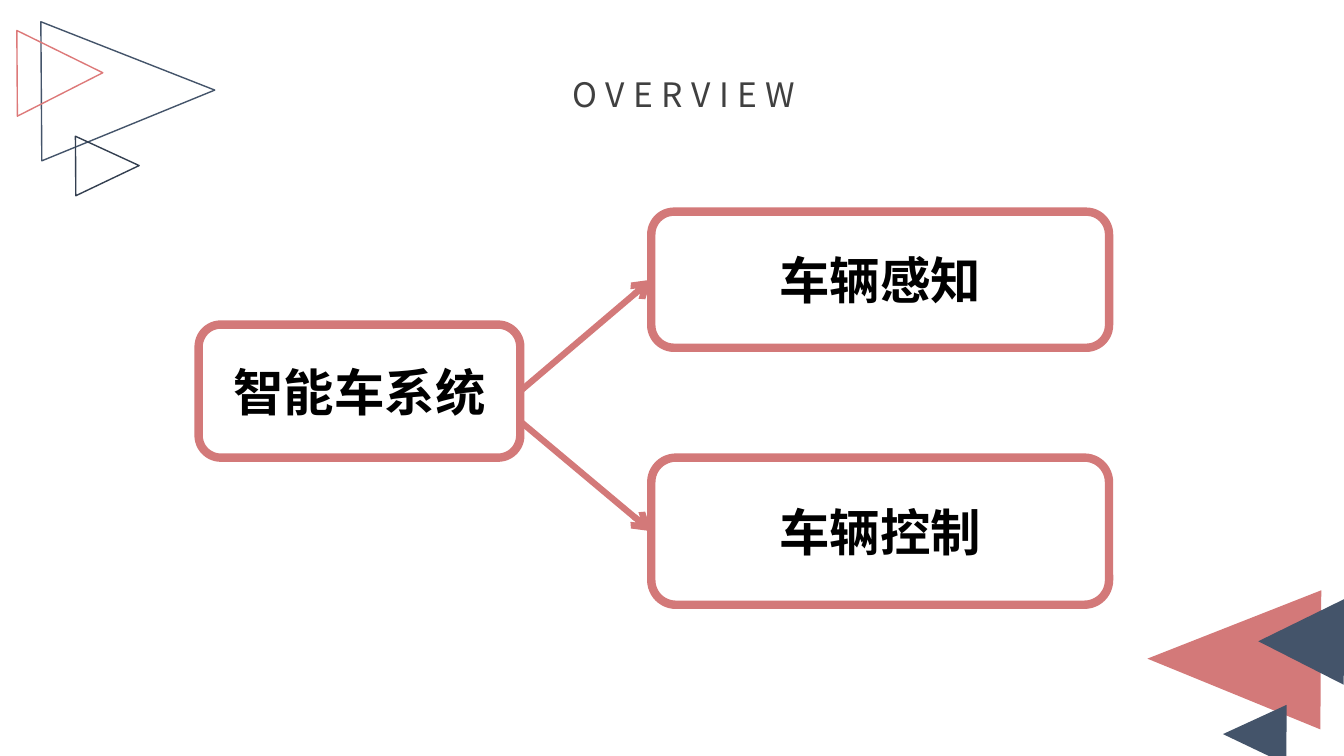
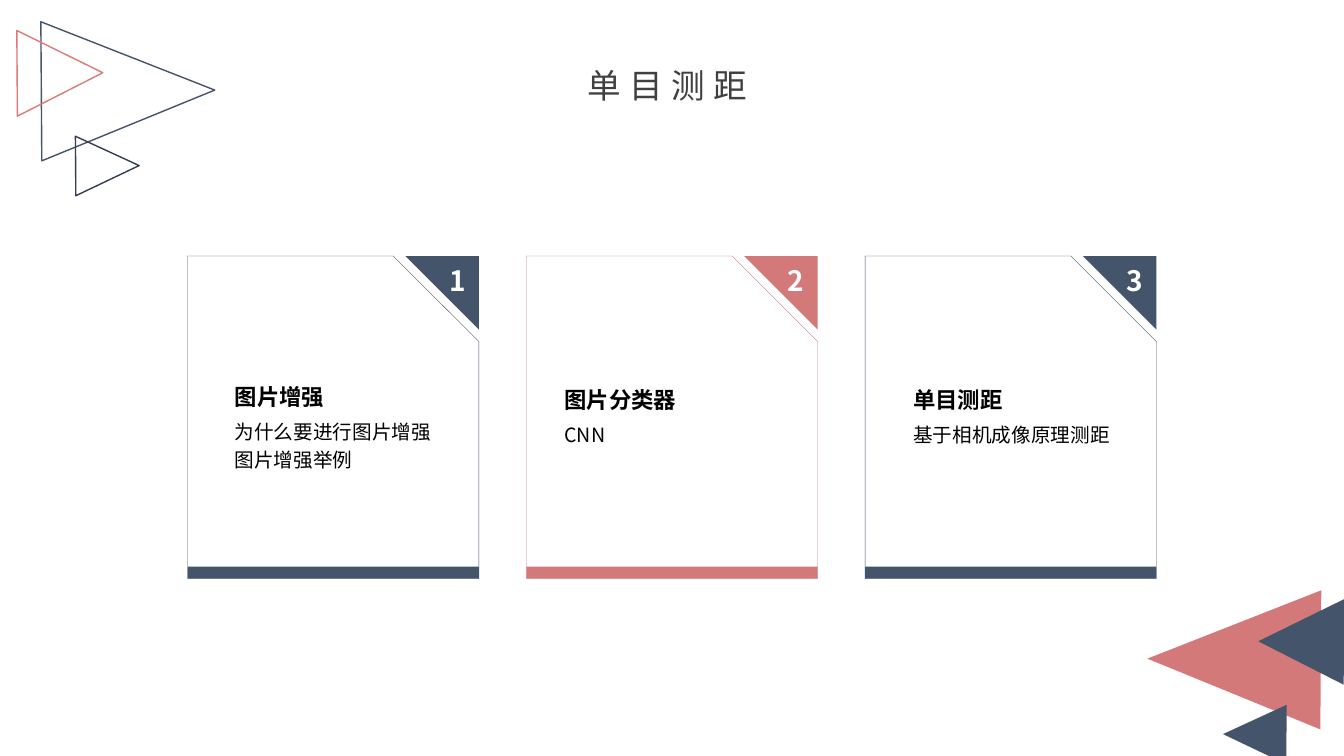
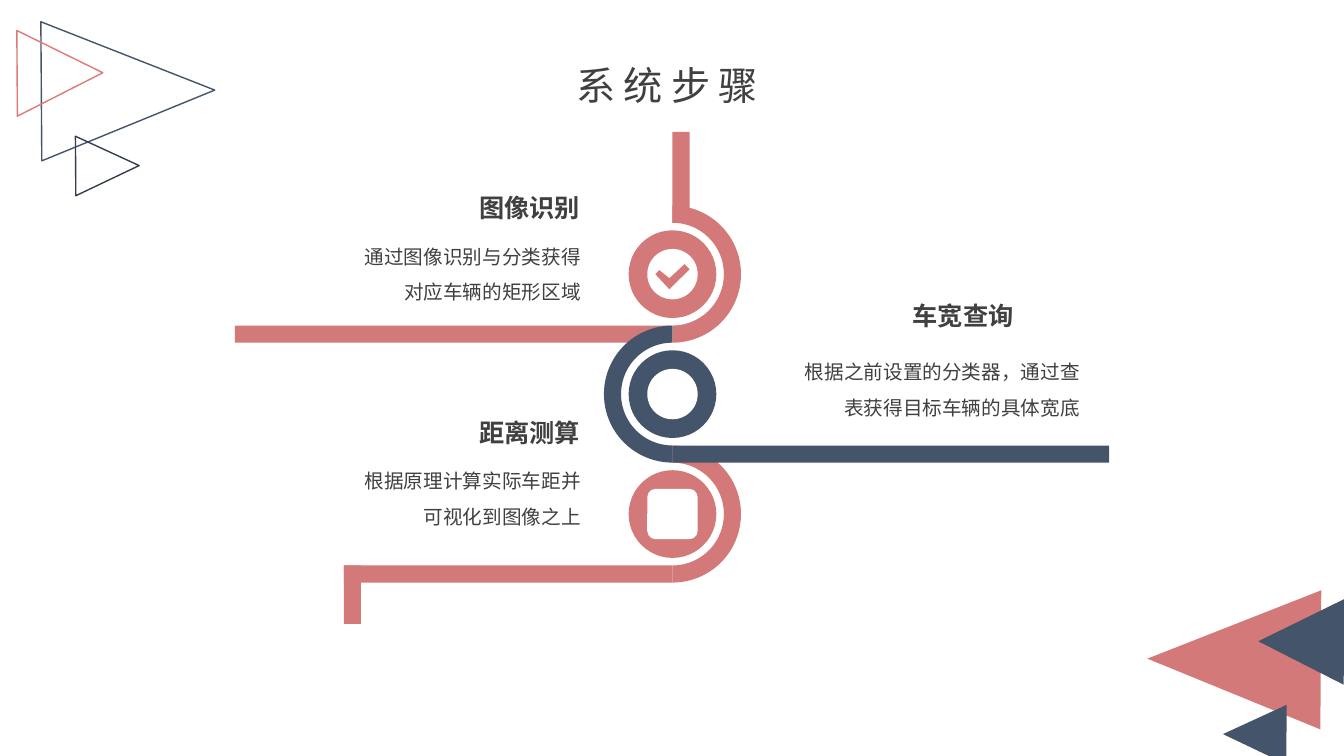
from lxml import etree
from pptx import Presentation
from pptx.dml.color import RGBColor
from pptx.enum.shapes import MSO_CONNECTOR, MSO_SHAPE as SHAPE
from pptx.enum.text import MSO_ANCHOR as ANCHOR, MSO_AUTO_SIZE as FIT, PP_ALIGN as ALIGN
from pptx.oxml.ns import qn
from pptx.util import Inches, Pt

rgb = RGBColor.from_string
PINK, NAVY, WHITE, BLACK, GREY = "D37979", "44546A", "FFFFFF", "000000", "404040"
FONT, BOX_FONT = "Noto Sans CJK SC", "Noto Sans CJK JP"


def paint(sp, fill=None, line=None, width=1):
    sp.shadow.inherit = False
    if fill:
        sp.fill.solid()
        sp.fill.fore_color.rgb = rgb(fill)
    else:
        sp.fill.background()
    if line:
        sp.line.color.rgb = rgb(line)
        sp.line.width = Pt(width)
    else:
        sp.line.fill.background()
    return sp


def write(tf, lines, size, color, bold=False, align=ALIGN.LEFT, font=FONT,
          leading=None, tracking=None, fit=FIT.SHAPE_TO_FIT_TEXT, wrap=True):
    tf.word_wrap = wrap
    tf.auto_size = fit
    for i, line in enumerate(lines):
        p = tf.add_paragraph() if i else tf.paragraphs[0]
        p.alignment = align
        if leading:
            p.line_spacing = leading
        r = p.add_run()
        r.text = line
        r.font.size = Pt(size)
        r.font.bold = bold
        r.font.color.rgb = rgb(color)
        r.font.name = font
        rPr = r.font._element
        etree.SubElement(rPr, qn("a:ea")).set("typeface", font)
        if tracking:
            rPr.set("spc", str(tracking * 100))


prs = Presentation()
prs.slide_width, prs.slide_height = Inches(13.33), Inches(7.5)

# Shared corner triangles and title: box, rotation, fill, line
triangles = [
    ((11.55, 5.68, 1.38, 1.72), 270.4, PINK, None),
    ((12.15, 6.97, 0.59, 0.63), 270.4, NAVY, None),
    ((12.48, 5.94, 0.85, 0.85), 270.4, NAVY, None),
    ((0.58, 0.04, 1.38, 1.72), 89.6, None, NAVY),
    ((0.77, 1.33, 0.59, 0.63), 89.6, None, "333F50"),
    ((0.17, 0.3, 0.85, 0.85), 89.6, None, "DD7979"),
]
titles = [
    ("OVERVIEW", (4.74, 0.73, 4.09, 0.4), 24),
    ("单目测距", (4.57, 0.64, 4.09, 0.4), 24),
    ("系统步骤", (4.57, 0.61, 4.09, 0.47), 28),
]
slides = []
for title, box, size in titles:
    s = prs.slides.add_slide(prs.slide_layouts[6])
    slides.append(s)
    for tri_box, angle, fill, line in triangles:
        sp = s.shapes.add_shape(SHAPE.ISOSCELES_TRIANGLE, *map(Inches, tri_box))
        paint(sp, fill, line).rotation = angle
    tf = s.shapes.add_textbox(*map(Inches, box)).text_frame
    tf.margin_left = tf.margin_right = tf.margin_top = tf.margin_bottom = 0
    tf.vertical_anchor = ANCHOR.MIDDLE
    write(tf, [title], size, GREY, align=ALIGN.CENTER, tracking=6)
overview, ranging, steps = slides

# Slide 1: system and its two parts
boxes = []
for label, box in [
    ("智能车系统", (1.97, 3.22, 3.19, 1.32)),
    ("车辆控制", (6.46, 4.54, 4.54, 1.46)),
    ("车辆感知", (6.46, 2.1, 4.54, 1.35)),
]:
    sp = overview.shapes.add_shape(SHAPE.ROUNDED_RECTANGLE, *map(Inches, box))
    paint(sp, WHITE, PINK, 6)
    sp.text_frame.vertical_anchor = ANCHOR.MIDDLE
    write(sp.text_frame, [label], 36, BLACK, True, ALIGN.CENTER, BOX_FONT, fit=FIT.NONE)
    boxes.append(sp)
system, control, sensing = boxes

for target, y1, y2 in [(sensing, 3.88, 2.77), (control, 4.18, 5.27)]:
    arrow = overview.shapes.add_connector(
        MSO_CONNECTOR.STRAIGHT, Inches(5.16), Inches(y1), Inches(6.46), Inches(y2))
    if target is sensing:
        arrow.begin_connect(system, 3)
    arrow.end_connect(target, 1)
    arrow.line.color.rgb = rgb(PINK)
    arrow.line.width = Pt(4.5)
    etree.SubElement(arrow.line._get_or_add_ln(), qn("a:tailEnd")).set("type", "arrow")
    etree.SubElement(arrow._element.spPr, qn("a:effectLst"))

# Slide 2: three numbered cards: colour, text left, heading top, heading, body
cards = [
    (NAVY, 2.23, 3.75, "图片增强", ["为什么要进行图片增强", "图片增强举例"]),
    (PINK, 5.5, 3.78, "图片分类器", ["CNN"]),
    (NAVY, 8.96, 3.78, "单目测距", ["基于相机成像原理测距"]),
]
card_w, card_top, corner = 2.89, 2.54, 0.73
for i, (color, text_x, text_y, heading, body) in enumerate(cards):
    x = 1.86 + 3.36 * i
    right = x + card_w
    sp = ranging.shapes.add_shape(
        SHAPE.SNIP_1_RECTANGLE, *map(Inches, (x, card_top, card_w, 3.2)))
    paint(sp, WHITE, color, 0.25).adjustments[0] = 0.294
    paint(ranging.shapes.add_shape(
        SHAPE.RECTANGLE, *map(Inches, (x, 5.62, card_w, 0.12))), color)

    fb = ranging.shapes.build_freeform(Inches(right), Inches(card_top))
    fb.add_line_segments([(Inches(right - corner), Inches(card_top)),
                          (Inches(right), Inches(card_top + corner))])
    sp = paint(fb.convert_to_shape(), color)
    tf = sp.text_frame
    tf.margin_left = tf.margin_right = Inches(0.13)
    tf.margin_top = tf.margin_bottom = Inches(0.07)
    tf.vertical_anchor = ANCHOR.TOP
    write(tf, [str(i + 1)], 20, WHITE, True, ALIGN.RIGHT, fit=FIT.NONE)

    body_h = 0.08 + 0.28 * len(body)
    tb = ranging.shapes.add_textbox(*map(Inches, (text_x, text_y + 0.32, 2.33, body_h)))
    write(tb.text_frame, body, 14, BLACK, leading=1.2)
    tb = ranging.shapes.add_textbox(*map(Inches, (text_x, text_y, 1.67, 0.37)))
    write(tb.text_frame, [heading], 16, BLACK, True)

# Slide 3: winding road; each bend has its row, colour, arc angles, bars and icon
band, mid_x = 0.17, 6.67
right_bend, left_bend = (162, 54), (54, 162)
bends = [
    (0, PINK, right_bend, [(2.33, 3.23, 4.33, band), (mid_x, 1.31, band, 0.9)], SHAPE.OVAL),
    (2, PINK, right_bend, [(3.41, 5.61, 3.26, band), (3.41, 5.61, band, 0.58)],
     SHAPE.ROUNDED_RECTANGLE),
    (1, NAVY, left_bend, [(mid_x, 4.42, 4.33, band)], SHAPE.OVAL),
]
for row, color, angles, bars, icon in bends:
    cy = 2.72 + 1.19 * row
    for bar in bars:
        paint(steps.shapes.add_shape(SHAPE.RECTANGLE, *map(Inches, bar)), color)
    sp = steps.shapes.add_shape(
        SHAPE.BLOCK_ARC, *map(Inches, (mid_x - 0.68, cy - 0.68, 1.36, 1.36)))
    paint(sp, color)
    sp.adjustments[0], sp.adjustments[1] = angles
    sp.adjustments[2] = 0.125
    for kind, d, fill in [(SHAPE.OVAL, 0.87, color), (icon, 0.5, WHITE)]:
        paint(steps.shapes.add_shape(
            kind, *map(Inches, (mid_x - d / 2, cy - d / 2, d, d))), fill)

# Tick in the first disc
tick = [(6.5, 2.72), (6.54, 2.68), (6.64, 2.76), (6.79, 2.62), (6.84, 2.67), (6.64, 2.87)]
tick = [(Inches(x), Inches(y)) for x, y in tick]
fb = steps.shapes.build_freeform(*tick[0])
fb.add_line_segments(tick[1:])
paint(fb.convert_to_shape(), PINK)

# Step texts: heading, its place, body, its place
for heading, (hx, hy), body, (bx, by, bw) in [
    ("图像识别", (4.64, 1.86), "通过图像识别与分类获得对应车辆的矩形区域", (3.44, 2.26, 2.42)),
    ("车宽查询", (8.94, 2.93), "根据之前设置的分类器，通过查表获得目标车辆的具体宽底", (7.69, 3.41, 3.12)),
    ("距离测算", (4.64, 4.09), "根据原理计算实际车距并可视化到图像之上", (3.44, 4.49, 2.42)),
]:
    tb = steps.shapes.add_textbox(*map(Inches, (bx, by, bw, 0.77)))
    write(tb.text_frame, [body], 14, GREY, align=ALIGN.RIGHT, leading=1.5)
    tb = steps.shapes.add_textbox(*map(Inches, (hx, hy, 1.21, 0.4)))
    write(tb.text_frame, [heading], 18, GREY, True, ALIGN.RIGHT, wrap=False)

prs.save("out.pptx")
